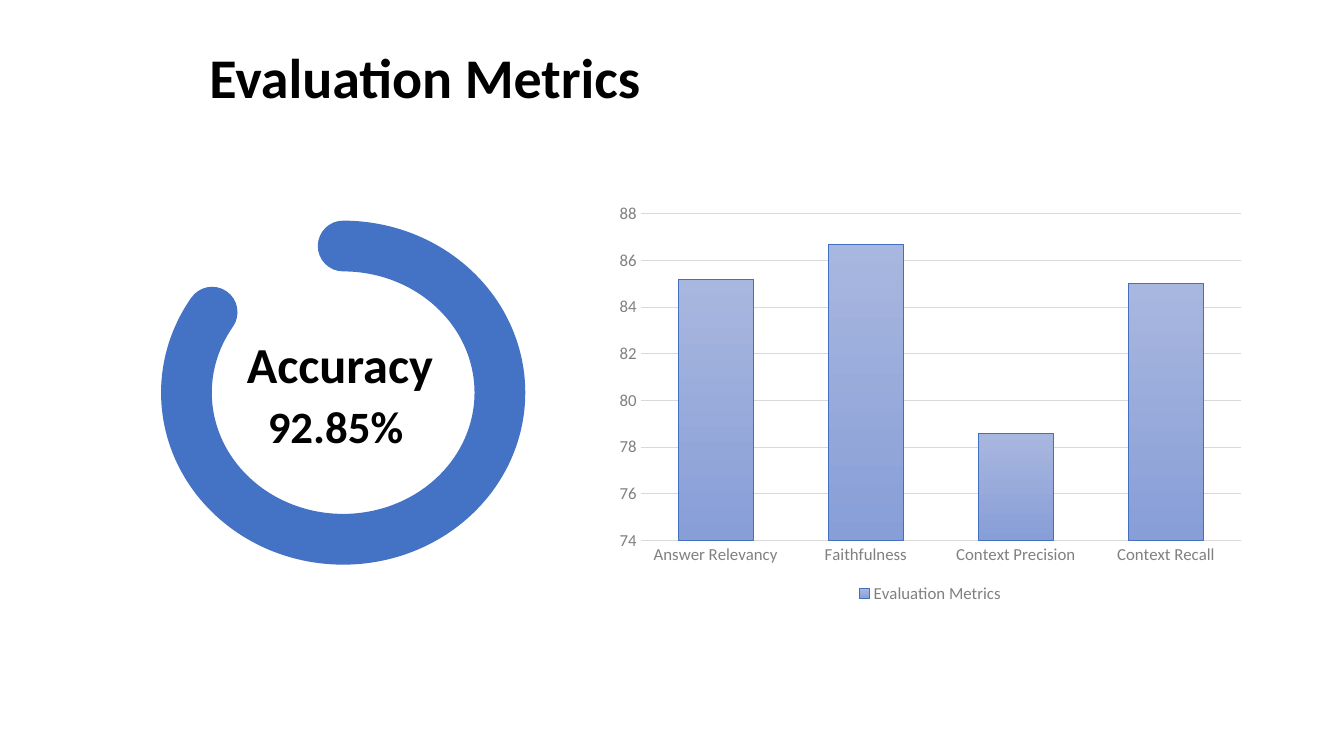
from pptx import Presentation
from pptx.chart.data import CategoryChartData
from pptx.dml.color import RGBColor
from pptx.enum import chart as kinds, shapes, text
from pptx.util import Cm, Pt

FONT = "Calibri"
COLORS = {
    "paper": "FFFFFF",
    "ink": "000000",
    "label": "808080",
    "grid": "D9D9D9",
    "ring": "4472C4",
    "bar_top": "A8B7DF",
    "bar_bottom": "889ED7",
    "bar_edge": "436FC0",
}
METRICS = {
    "Answer Relevancy": 85.2,
    "Faithfulness": 86.7,
    "Context Precision": 78.6,
    "Context Recall": 85.0,
}


def color(name):
    return RGBColor.from_string(COLORS[name])


def set_font(font, size, name, bold=False):
    font.name, font.size, font.bold = FONT, Pt(size), bold
    font.color.rgb = color(name)


def set_line(line, name, width):
    line.color.rgb = color(name)
    line.width = Pt(width)


def add_label(parent, box, words, size, wrap=False):
    label = parent.add_textbox(*map(Cm, box))
    frame = label.text_frame
    frame.word_wrap = wrap
    frame.auto_size = text.MSO_AUTO_SIZE.NONE
    para = frame.paragraphs[0]
    para.text = words
    set_font(para.font, size, "ink", bold=True)


def add_accuracy_ring(page, box):
    """Draw an open ring with round ends and the score inside it."""
    left, top, width, height = box
    group = page.shapes.add_group_shape()
    ring = group.shapes.add_shape(shapes.MSO_SHAPE.ARC, *map(Cm, box))
    ring.shadow.inherit = False
    # Angles are stored in 60000ths of a degree, adjustments in 100000ths.
    for index, degrees in enumerate((270, 211.55)):
        ring.adjustments[index] = degrees * 0.6
    ring.fill.solid()
    ring.fill.fore_color.rgb = color("paper")
    set_line(ring.line, "ring", 36.25)
    ring.line._get_or_add_ln().set("cap", "rnd")
    add_label(group.shapes, (left + 1.8, top + 3.73, 3.96, 1.63), "92.85%", 32)
    add_label(group.shapes, (left + 1.27, top + 2.08, 5.26, 1.8), "Accuracy", 36)


def style_axis(axis):
    axis.major_tick_mark = axis.minor_tick_mark = kinds.XL_TICK_MARK.NONE
    set_font(axis.tick_labels.font, 12, "label")


def add_metrics_chart(page, box):
    data = CategoryChartData()
    data.categories = list(METRICS)
    data.add_series("Evaluation Metrics", list(METRICS.values()))
    chart = page.shapes.add_chart(
        kinds.XL_CHART_TYPE.COLUMN_CLUSTERED, *map(Cm, box), data).chart
    set_font(chart.font, 10, "ink")
    chart.has_title = False
    chart.has_legend = True
    chart.legend.position = kinds.XL_LEGEND_POSITION.BOTTOM
    chart.legend.include_in_layout = False
    set_font(chart.legend.font, 12, "label")

    style_axis(chart.category_axis)
    set_line(chart.category_axis.format.line, "grid", 0.75)
    scale = chart.value_axis
    style_axis(scale)
    scale.minimum_scale, scale.maximum_scale, scale.major_unit = 74, 88, 2
    scale.format.line.fill.background()
    set_line(scale.major_gridlines.format.line, "grid", 0.75)

    plot = chart.plots[0]
    plot.vary_by_categories = False
    plot.gap_width, plot.overlap = 100, -24
    bars = plot.series[0].format
    bars.fill.gradient()
    bars.fill.gradient_angle = 270
    for stop, name in zip(bars.fill.gradient_stops, ("bar_top", "bar_bottom")):
        stop.color.rgb = color(name)
    set_line(bars.line, "bar_edge", 0.75)


def main():
    deck = Presentation()
    deck.slide_width, deck.slide_height = Cm(33.87), Cm(19.05)
    page = deck.slides.add_slide(deck.slide_layouts[6])
    add_label(page.shapes, (5.03, 0.94, 14.48, 2.74), "Evaluation Metrics", 40, wrap=True)
    add_metrics_chart(page, (15.29, 4.93, 16.31, 10.39))
    add_accuracy_ring(page, (4.7, 6.2, 7.9, 7.39))
    deck.save("out.pptx")


if __name__ == "__main__":
    main()
